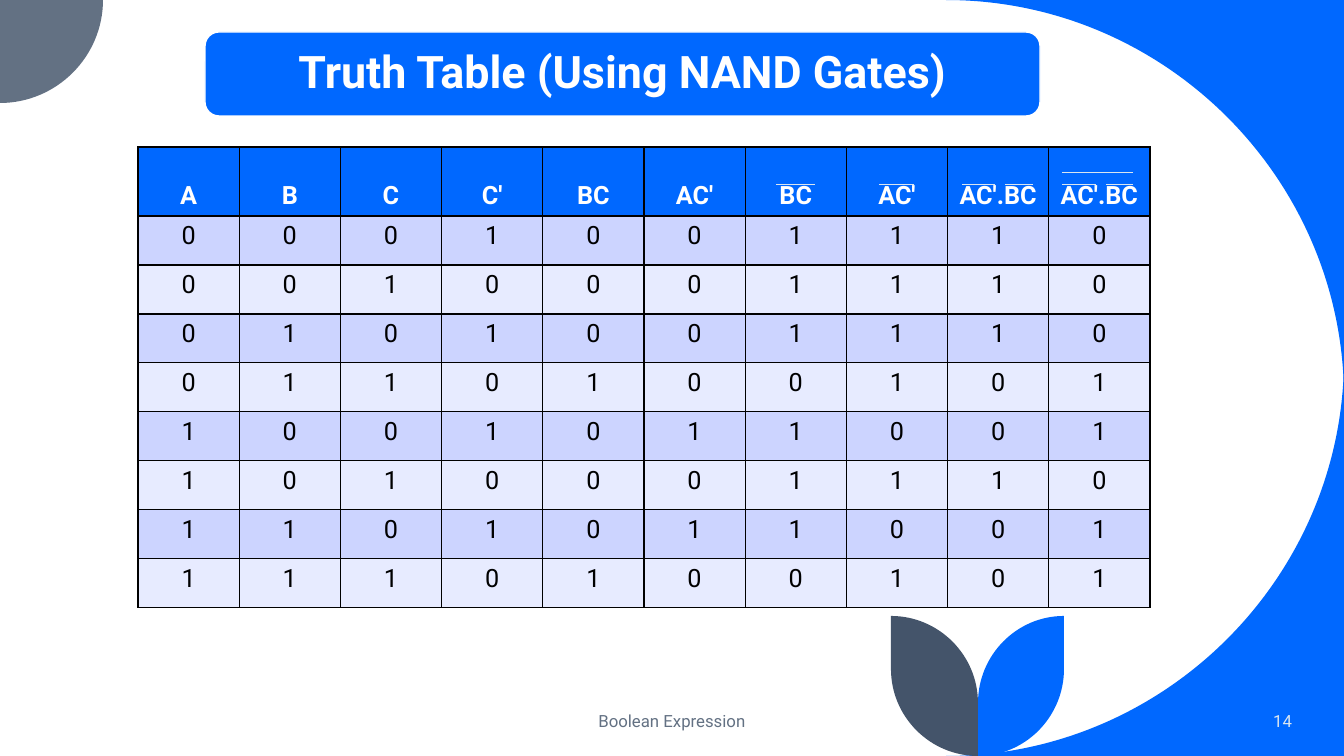
from dataclasses import dataclass
from itertools import product

from lxml.etree import SubElement
from pptx import Presentation
from pptx.dml.color import RGBColor as RGB
from pptx.enum.shapes import MSO_CONNECTOR as CONNECTOR, MSO_SHAPE as SHAPE
from pptx.enum.text import MSO_ANCHOR as ANCHOR, PP_ALIGN as ALIGN
from pptx.oxml.ns import qn
from pptx.util import Pt


@dataclass(frozen=True)
class Theme:
    font: str = "Roboto"
    blue: str = "0068FF"
    slate: str = "637183"
    navy: str = "44546A"
    pale: str = "DAE5EF"
    white: str = "FFFFFF"
    black: str = "000000"
    bands: tuple = ("CCD4FF", "E7EBFF")
    title_size: int = 32
    table_size: int = 18
    footer_size: int = 12


theme = Theme()
EMU = 12192000 / 1344  # one px


def px(length):
    return round(length * EMU)


def style(text_frame, size, color, align, bold=False):
    for paragraph in text_frame.paragraphs:
        paragraph.alignment = align
        for run in paragraph.runs:
            font = run.font
            font.name, font.size, font.bold = theme.font, Pt(size), bold
            font.color.rgb = RGB.from_string(color)


presentation = Presentation()
presentation.slide_width, presentation.slide_height = px(1344), px(756)
slide = presentation.slides.add_slide(presentation.slide_layouts[6])
shapes = slide.shapes

# Curved decorations: (x, y) is a line, (corner x, y, end x, y) a quarter arc
decorations = [
    (theme.blue, [(1344, 0), (946, 0), (1344, 0, 1344, 398)]),
    (theme.blue, [(1344, 358), (1344, 756, 946, 756), (1344, 756)]),
    (theme.slate, [(0, 0), (103, 0), (103, 103, 0, 103)]),
]
stem = 978
for color, tip in ((theme.blue, 1064), (theme.navy, 891)):
    decorations.append((color, [(tip, 616), (tip, 669), (tip, 756, stem, 756),
                                (stem, 703), (stem, 616, tip, 616)]))
BEND = 0.55  # handle length of a quarter arc
for color, segments in decorations:
    points = []
    for segment in segments:
        end_x, end_y = segment[-2:]
        if len(segment) == 4:
            corner_x, corner_y = segment[:2]
            for x, y in (points[-1], (end_x, end_y)):
                points.append((x + (corner_x - x) * BEND, y + (corner_y - y) * BEND))
        points.append((end_x, end_y))
    vertices = [(px(x), px(y)) for x, y in points]
    builder = shapes.build_freeform(*vertices[0], scale=1.0)
    builder.add_line_segments(vertices[1:], close=True)
    shape = builder.convert_to_shape()
    # Join the three points of each arc into one curve
    lines = iter(list(shape._element.iter(qn("a:lnTo"))))
    for segment in segments[1:]:
        curve = next(lines)
        if len(segment) == 4:
            curve.tag = qn("a:cubicBezTo")
            for line in (next(lines), next(lines)):
                curve.append(line[0])
                line.getparent().remove(line)
    shape.shadow.inherit = False
    shape.fill.solid()
    shape.fill.fore_color.rgb = RGB.from_string(color)
    shape.line.fill.background()

# Title
title = shapes.add_shape(SHAPE.ROUNDED_RECTANGLE, px(205), px(32), px(835), px(84))
title.shadow.inherit = False
title.fill.solid()
title.fill.fore_color.rgb = RGB.from_string(theme.blue)
title.line.color.rgb = RGB.from_string(theme.white)
title.line.width = Pt(1)
title.text_frame.text = "Truth Table (Using NAND Gates)"
title.text_frame.vertical_anchor = ANCHOR.MIDDLE
title.text_frame.paragraphs[0].line_spacing = 0.9
style(title.text_frame, theme.title_size, theme.white, ALIGN.CENTER, bold=True)

# Truth table, worked out from the inputs
rows = [["A", "B", "C", "C'", "BC", "AC'", "BC", "AC'", "AC'.BC", "AC'.BC"]]
for a, b, c in product((0, 1), repeat=3):
    not_c = 1 - c
    bc, ac = b * c, a * not_c
    both = (1 - ac) * (1 - bc)
    rows.append([a, b, c, not_c, bc, ac, 1 - bc, 1 - ac, both, 1 - both])

header_height, row_height = 69, 49
table = shapes.add_table(len(rows), len(rows[0]), px(138), px(147), px(1012),
                         px(header_height + 8 * row_height)).table
table.horz_banding = False
for column in table.columns:
    column.width = px(1012) // len(rows[0])
for index, values in enumerate(rows):
    header = index == 0
    table.rows[index].height = px(header_height if header else row_height)
    for cell, value in zip(table.rows[index].cells, values):
        cell.text = str(value)
        cell.vertical_anchor = ANCHOR.BOTTOM if header else ANCHOR.TOP
        style(cell.text_frame, theme.table_size,
              theme.white if header else theme.black, ALIGN.CENTER, bold=header)
        # Borders go before the fill in the cell properties
        properties = cell._tc.get_or_add_tcPr()
        for side in ("a:lnL", "a:lnR", "a:lnT", "a:lnB"):
            border = SubElement(properties, qn(side), w=str(Pt(1)))
            SubElement(SubElement(border, qn("a:solidFill")), qn("a:srgbClr"), val=theme.black)
        cell.fill.solid()
        cell.fill.fore_color.rgb = RGB.from_string(
            theme.blue if header else theme.bands[(index - 1) % 2])

# Footer and slide number
for text, left, width, color, align in (
        ("Boolean Expression", 445, 454, theme.slate, ALIGN.CENTER),
        ("14", 1120, 182, theme.pale, ALIGN.RIGHT)):
    text_frame = shapes.add_textbox(px(left), px(701), px(width), px(40)).text_frame
    text_frame.word_wrap = True
    text_frame.vertical_anchor = ANCHOR.MIDDLE
    text_frame.text = text
    style(text_frame, theme.footer_size, color, align)

# Negation bars over the header labels
for start, end, y in ((776, 815, 184), (879, 914, 184), (962, 995, 184), (1005, 1033, 184),
                      (1062, 1096, 184), (1106, 1133, 184), (1062, 1133, 172)):
    bar = shapes.add_connector(CONNECTOR.STRAIGHT, px(start), px(y), px(end), px(y))
    bar.line.color.rgb = RGB.from_string(theme.pale)
    bar.line.width = Pt(0.5)
    SubElement(bar._element.spPr, qn("a:effectLst"))

presentation.save("out.pptx")
